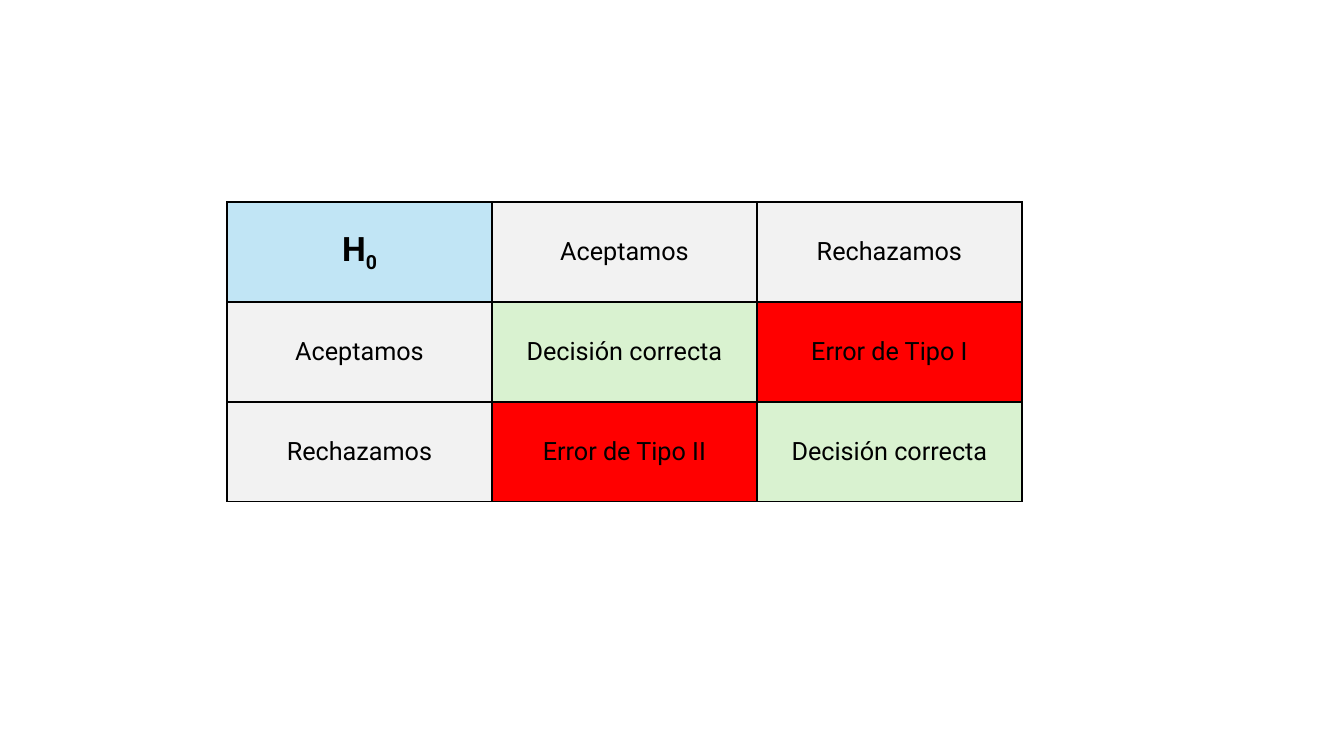
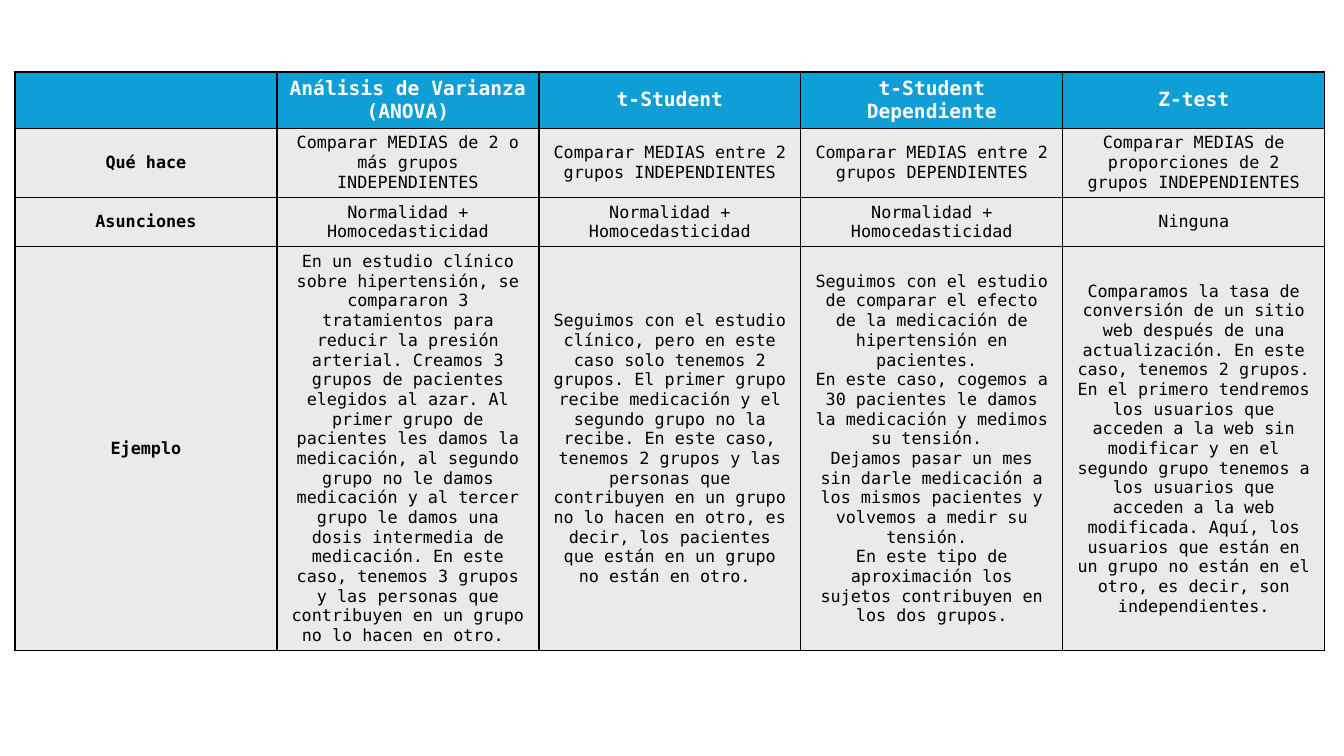
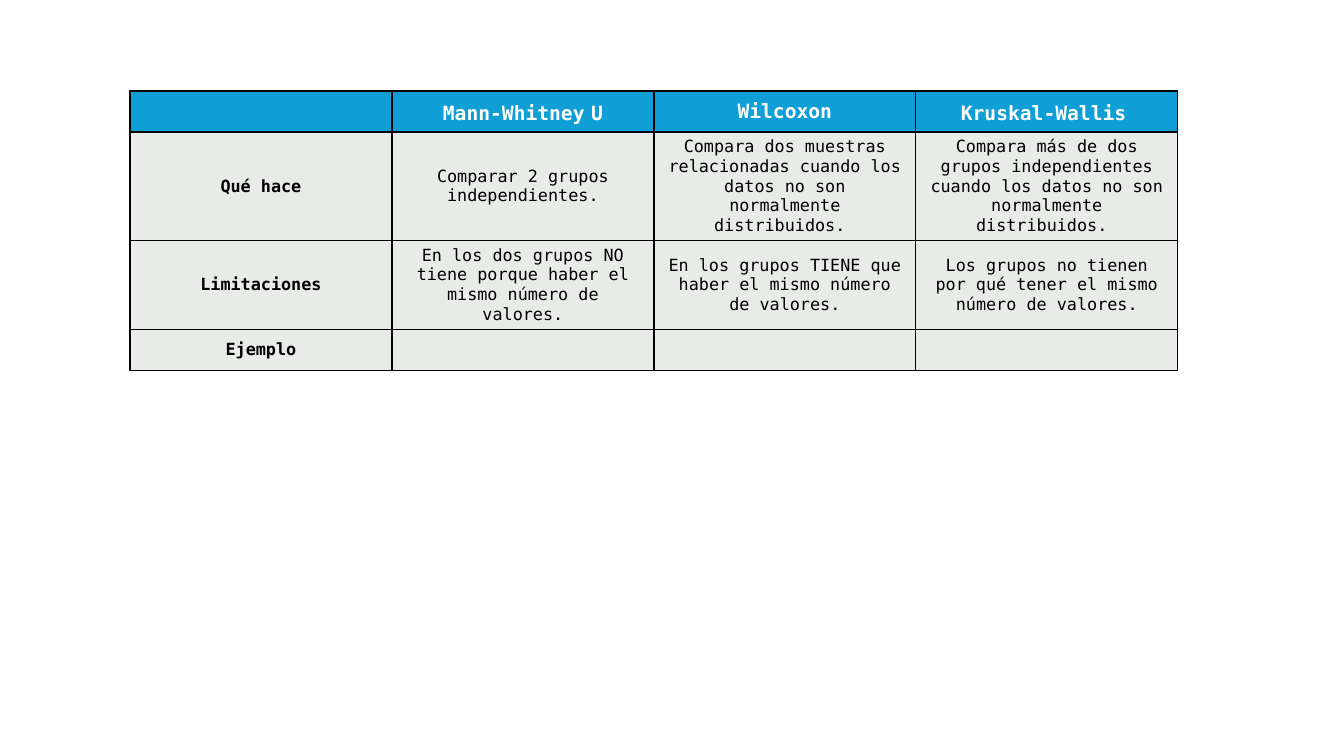
from typing import NamedTuple

from lxml import etree
from pptx import Presentation
from pptx import util as u
from pptx.dml.color import RGBColor
from pptx.enum import text
from pptx.oxml import ns

# Scale: 100.8 px to the inch
PX = 914400 / 100.8

# Shared colours and fonts
BLACK, WHITE = "000000", "FFFFFF"
SKY, PALE, GREEN, RED = "C1E5F5", "F2F2F2", "D9F2D0", "FF0000"
BLUE, GRAY = "0F9ED5", "E8EBE8"
SANS, MONO = "Roboto", "DejaVu Sans Mono"


class Style(NamedTuple):
    font: str
    size: int
    ink: str = BLACK
    bold: bool = False
    base: int = 0


PLAIN = Style(SANS, 18)
HYPO = Style(SANS, 24, bold=True)
HEAD = Style(MONO, 14, WHITE, True)
GAP = Style(SANS, 18, WHITE, True)
LABEL = Style(MONO, 12, bold=True)
BODY = Style(MONO, 12)


def px(num):
    return u.Emu(round(num * PX))


def color(code):
    return RGBColor.from_string(code)


# Text, run by run
def add_run(para, words, style):
    run = para.add_run()
    run.text = words
    font = run.font
    font.name, font.size, font.bold = style.font, u.Pt(style.size), style.bold
    font.color.rgb = color(style.ink)
    if style.base:
        run._r.get_or_add_rPr().set("baseline", str(style.base * 1000))


def write(cell, item, style):
    """Write a string, one paragraph a line, or a list of (words, style)."""
    if not item:
        return
    lines = item.split("\n") if isinstance(item, str) else [item]
    frame = cell.text_frame
    for num, line in enumerate(lines):
        para = frame.add_paragraph() if num else frame.paragraphs[0]
        para.alignment = text.PP_ALIGN.CENTER
        runs = [(line, style)] if isinstance(line, str) else line
        for words, look in runs:
            add_run(para, words, look)


# Cell borders: 1 pt black on all four sides
def border(cell):
    props = cell._tc.get_or_add_tcPr()
    for side in ("a:lnL", "a:lnR", "a:lnT", "a:lnB"):
        line = etree.SubElement(props, ns.qn(side), w=str(u.Pt(1)))
        fill = etree.SubElement(line, ns.qn("a:solidFill"))
        etree.SubElement(fill, ns.qn("a:srgbClr"), val=BLACK)


def add_grid(deck, left, top, width, highs, rows, look):
    """Add a slide with one table; look(row, col) gives fill and style."""
    slide = deck.slides.add_slide(deck.slide_layouts[6])
    count = len(rows[0])
    table = slide.shapes.add_table(
        len(rows), count, px(left), px(top),
        px(width * count), px(sum(highs))).table
    table.first_row = table.horz_banding = False
    for col in table.columns:
        col.width = px(width)
    for row, high in zip(table.rows, highs):
        row.height = px(high)
    for y, row in enumerate(rows):
        for x, item in enumerate(row):
            cell = table.cell(y, x)
            fill, style = look(y, x)
            border(cell)
            cell.fill.solid()
            cell.fill.fore_color.rgb = color(fill)
            cell.vertical_anchor = text.MSO_ANCHOR.MIDDLE
            write(cell, item, style)


# Looks of the two kinds of table
def error_look(row, col):
    if row == col == 0:
        return SKY, HYPO
    if row == 0 or col == 0:
        return PALE, PLAIN
    return (GREEN if row == col else RED), PLAIN


def test_look(row, col):
    if row == 0:
        return BLUE, HEAD
    return GRAY, (BODY if col else LABEL)


# Wording
ERRORS = [
    [[("H", HYPO), ("0", HYPO._replace(base=-25))], "Aceptamos", "Rechazamos"],
    ["Aceptamos", "Decisión correcta", "Error de Tipo I"],
    ["Rechazamos", "Error de Tipo II", "Decisión correcta"],
]

NORMAL = "Normalidad + Homocedasticidad"
MEANS = [
    ["", "Análisis de Varianza (ANOVA)", "t-Student", "t-Student Dependiente",
     "Z-test"],
    ["Qué hace",
     "Comparar MEDIAS de 2 o más grupos INDEPENDIENTES",
     "Comparar MEDIAS entre 2 grupos INDEPENDIENTES",
     "Comparar MEDIAS entre 2 grupos DEPENDIENTES",
     "Comparar MEDIAS de proporciones de 2 grupos INDEPENDIENTES"],
    ["Asunciones", NORMAL, NORMAL, NORMAL, "Ninguna"],
    ["Ejemplo",
     "En un estudio clínico sobre hipertensión, se compararon 3 tratamientos "
     "para reducir la presión arterial. Creamos 3 grupos de pacientes "
     "elegidos al azar. Al primer grupo de pacientes les damos la medicación, "
     "al segundo grupo no le damos medicación y al tercer grupo le damos una "
     "dosis intermedia de medicación. En este caso, tenemos 3 grupos y las "
     "personas que contribuyen en un grupo no lo hacen en otro. ",
     "Seguimos con el estudio clínico, pero en este caso solo tenemos 2 "
     "grupos. El primer grupo recibe medicación y el segundo grupo no la "
     "recibe. En este caso, tenemos 2 grupos y las personas que contribuyen "
     "en un grupo no lo hacen en otro, es decir, los pacientes que están en "
     "un grupo no están en otro. ",
     "Seguimos con el estudio de comparar el efecto de la medicación de "
     "hipertensión en pacientes. \n"
     "En este caso, cogemos a 30 pacientes le damos la medicación y medimos "
     "su tensión. \n"
     "Dejamos pasar un mes sin darle medicación a los mismos pacientes y "
     "volvemos a medir su tensión. \n"
     "En este tipo de aproximación los sujetos contribuyen en los dos grupos.",
     "Comparamos la tasa de conversión de un sitio web después de una "
     "actualización. En este caso, tenemos 2 grupos. En el primero tendremos "
     "los usuarios que acceden a la web sin modificar y en el segundo grupo "
     "tenemos a los usuarios que acceden a la web modificada. Aquí, los "
     "usuarios que están en un grupo no están en el otro, es decir, son "
     "independientes."],
]

RANKS = [
    ["", [("Mann-Whitney", HEAD), (" ", GAP), ("U", HEAD)], "Wilcoxon",
     [("Kruskal-Wallis", HEAD), (" ", GAP)]],
    ["Qué hace",
     "Comparar 2 grupos independientes.",
     "Compara dos muestras relacionadas cuando los datos no son normalmente "
     "distribuidos. ",
     "Compara más de dos grupos independientes cuando los datos no son "
     "normalmente distribuidos. "],
    ["Limitaciones",
     "En los dos grupos NO tiene porque haber el mismo número de valores.",
     "En los grupos TIENE que haber el mismo número de valores.",
     "Los grupos no tienen por qué tener el mismo número de valores."],
    ["Ejemplo", "", "", ""],
]


def main():
    deck = Presentation()
    deck.slide_width, deck.slide_height = px(1344), px(756)
    add_grid(deck, 227, 202, 265, [100] * 3, ERRORS, error_look)
    add_grid(deck, 15, 72, 262, [56, 69, 49, 404], MEANS, test_look)
    add_grid(deck, 130, 91, 262, [41, 108, 89, 41], RANKS, test_look)
    deck.save("out.pptx")


if __name__ == "__main__":
    main()
